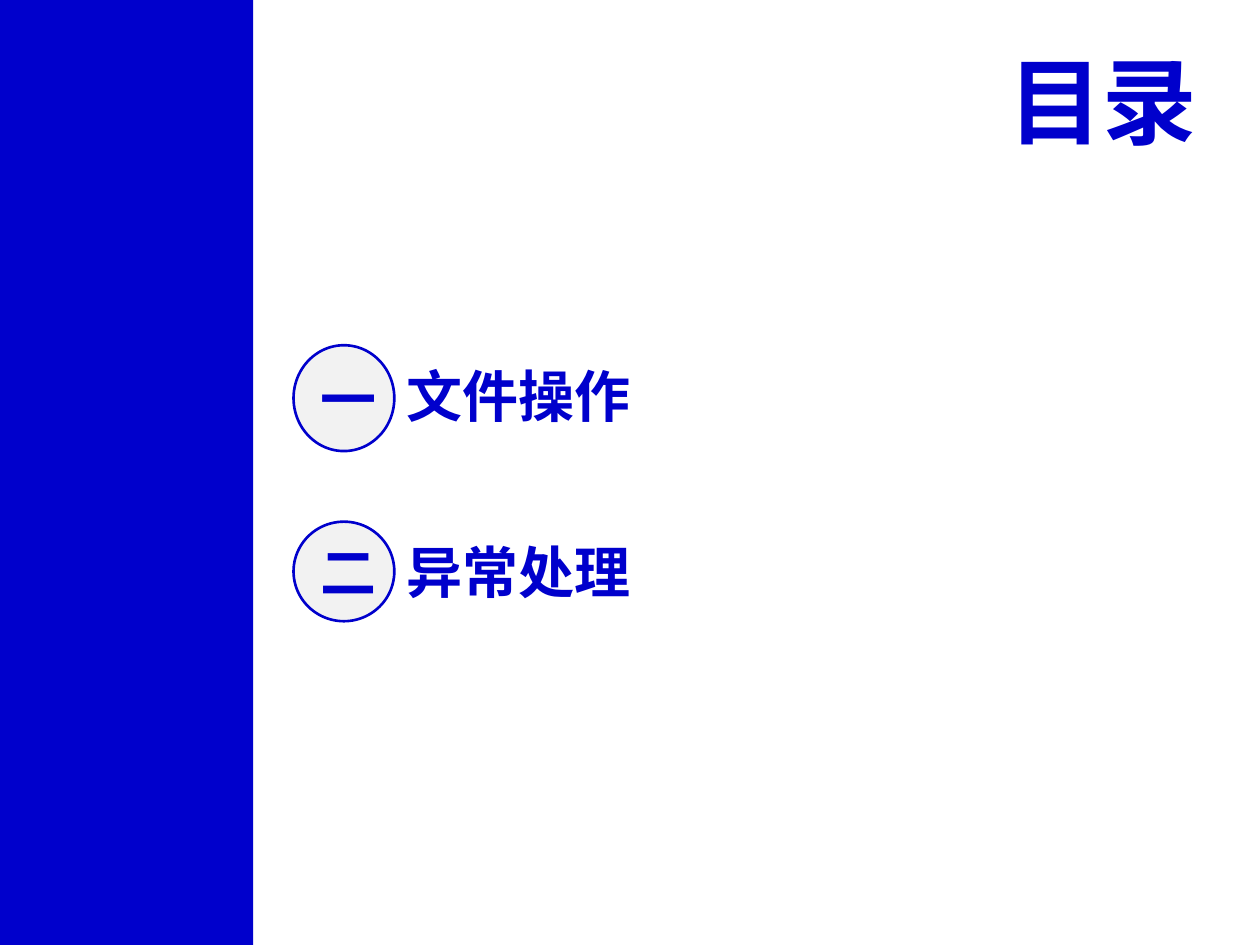
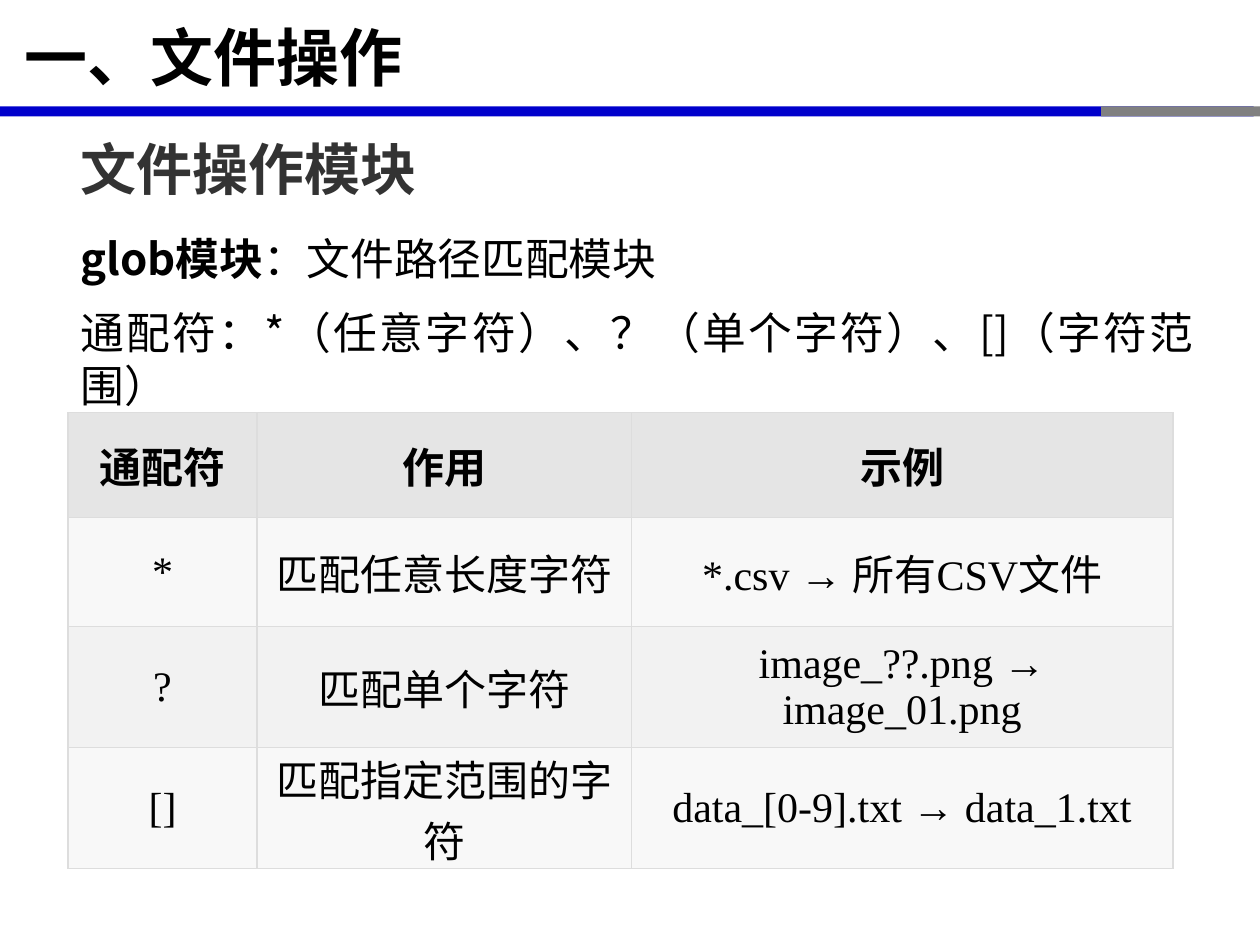
from collections import namedtuple
from lxml.etree import SubElement
from pptx import Presentation
from pptx.dml.color import RGBColor
from pptx.enum.shapes import MSO_SHAPE
from pptx.enum.text import MSO_ANCHOR, PP_ALIGN
from pptx.oxml.ns import qn
from pptx.util import Inches, Pt

COLS, ROWS = 100, 75
WIDE, HIGH = Inches(10), Inches(7.5)
COL, ROW = WIDE / COLS, HIGH / ROWS
SANS, SERIF, PLAIN = "Noto Sans CJK SC", "Times New Roman", "Arial"
HUES = {
    "blue": "0000CC", "gray": "808080", "disc": "F2F2F2", "black": "000000",
    "dark": "333333", "head": "E5E5E5", "odd": "F8F8F8", "even": "F2F2F2",
    "edge": "DDDDDD",
}


class Box(namedtuple("Box", "x y w h")):
    def inner(self, x, y, w, h):
        return Box(self.x + x, self.y + y, w, h)

    def place(self):
        return (round(self.x * COL), round(self.y * ROW),
                round(self.w * COL), round(self.h * ROW))


PAGE = Box(0, 0, COLS, ROWS)


def hue(name):
    return RGBColor.from_string(HUES[name])


def style(para, size, font, tint, bold=False, align=PP_ALIGN.LEFT, lead=False):
    para.alignment = align
    if lead:
        gap = SubElement(para._p.get_or_add_pPr(), qn("a:spcBef"))
        SubElement(gap, qn("a:spcPct")).set("val", "50000")
    for run in para.runs:
        run.font.size, run.font.name, run.font.bold = Pt(size), font, bold
        run.font.color.rgb = hue(tint)
        props = run._r.get_or_add_rPr()
        if props.find(qn("a:ea")) is None:
            SubElement(props, qn("a:ea")).set("typeface", SANS)


def shape(shapes, kind, box, fill, line=None):
    item = shapes.add_shape(kind, *box.place())
    item.shadow.inherit = False
    item.fill.solid()
    item.fill.fore_color.rgb = hue(fill)
    if line:
        item.line.color.rgb = hue(line)
        item.line.width = Pt(1.5)
    else:
        item.line.fill.background()
    return item


def label(shapes, box, lines, *look, anchor=MSO_ANCHOR.TOP, **more):
    frame = shapes.add_textbox(*box.place()).text_frame
    frame.word_wrap = True
    frame.vertical_anchor = anchor
    frame.text = "\n".join(lines)
    for para in frame.paragraphs:
        style(para, *look, **more)
    return frame


def entry(slide, box, mark, name):
    shapes = slide.shapes.add_group_shape().shapes
    disc = shape(shapes, MSO_SHAPE.OVAL, box.inner(0, 0, 8, box.h), "disc", "blue")
    disc.text_frame.vertical_anchor = MSO_ANCHOR.MIDDLE
    disc.text_frame.text = mark
    style(disc.text_frame.paragraphs[0], 32, SANS, "blue", True, PP_ALIGN.CENTER)
    label(shapes, box.inner(8, 0.75, box.w - 8, 6.4), [name], 32, PLAIN, "blue",
          True, anchor=MSO_ANCHOR.MIDDLE)


def agenda(slide, box, title, items):
    shape(slide.shapes, MSO_SHAPE.RECTANGLE, box.inner(0, 0, 20.1, box.h), "blue")
    label(slide.shapes, box.inner(78.4, 2.9, 17.6, 10.1), [title], 54, PLAIN,
          "blue", True, PP_ALIGN.RIGHT)
    for top, high, mark, name in items:
        entry(slide, box.inner(23.3, top, 72, high), mark, name)


def header(slide, box, title):
    frame = label(slide.shapes, box.inner(0, 0.1, 98.6, 8.7), [title], 36, SANS,
                  "black", True, anchor=MSO_ANCHOR.MIDDLE)
    frame.paragraphs[0]._p.get_or_add_pPr().set("indent", str(Inches(0.1)))
    for left, wide, tint in ((0, 99.5, "blue"), (87.4, 12.6, "gray")):
        shape(slide.shapes, MSO_SHAPE.RECTANGLE,
              box.inner(left, 8.45, wide, 0.8), tint)


def prose(slide, box, title, lines, term):
    look = {"align": PP_ALIGN.JUSTIFY, "lead": True}
    label(slide.shapes, box.inner(0, 0, 87.7, 6.4), [title], 32, SANS, "dark",
          True, **look)
    frame = label(slide.shapes, box.inner(0, 7.7, box.w, 11.5), lines, 25, SANS,
                  "black", **look)
    first = frame.paragraphs[0]
    rest = first.text[len(term):]
    first.text = term
    first.add_run().text = rest
    style(first, 25, SANS, "black", align=PP_ALIGN.JUSTIFY)
    first.runs[0].font.bold = True


def border(cell):
    props = cell._tc.get_or_add_tcPr()
    for spot, side in enumerate(("lnL", "lnR", "lnT", "lnB")):
        line = SubElement(props, qn("a:" + side), w=str(Pt(0.75)))
        fill = SubElement(line, qn("a:solidFill"))
        SubElement(fill, qn("a:srgbClr"), val=HUES["edge"])
        props.remove(line)
        props.insert(spot, line)


def grid(slide, box, cols, rows, data):
    table = slide.shapes.add_table(len(rows), len(cols), *box.place()).table
    table.first_row = table.horz_banding = False
    for col, wide in zip(table.columns, cols):
        col.width = round(wide * COL)
    for row, high in zip(table.rows, rows):
        row.height = round(high * ROW)
    for r, texts in enumerate(data):
        tint = "head" if r == 0 else "odd" if r % 2 else "even"
        for c, text in enumerate(texts):
            cell = table.cell(r, c)
            cell.margin_top = cell.margin_bottom = 0
            cell.vertical_anchor = MSO_ANCHOR.MIDDLE
            cell.fill.solid()
            cell.fill.fore_color.rgb = hue(tint)
            border(cell)
            cell.text_frame.text = text
            style(cell.text_frame.paragraphs[0], 24, SERIF, "black", r == 0,
                  PP_ALIGN.CENTER, True)


def main():
    deck = Presentation()
    deck.slide_width, deck.slide_height = WIDE, HIGH
    blank = deck.slide_layouts[6]

    agenda(deck.slides.add_slide(blank), PAGE, "目录", [
        (27.4, 8.4, "一", "文件操作"),
        (41.4, 7.9, "二", "异常处理"),
    ])

    slide = deck.slides.add_slide(blank)
    header(slide, PAGE, "一、文件操作")
    prose(slide, PAGE.inner(5.4, 10.2, 90.3, 20), "文件操作模块", [
        "glob模块：文件路径匹配模块",
        "通配符：*（任意字符）、？（单个字符）、[]（字符范围）",
    ], "glob模块")
    grid(slide, PAGE.inner(5.4, 32.75, 87.7, 36.2), (15, 29.7, 43),
         (8.3, 8.7, 9.6, 9.6), [
        ("通配符", "作用", "示例"),
        ("*", "匹配任意长度字符", "*.csv → 所有CSV文件"),
        ("?", "匹配单个字符", "image_??.png → image_01.png"),
        ("[]", "匹配指定范围的字符", "data_[0-9].txt → data_1.txt"),
    ])
    deck.save("out.pptx")


if __name__ == "__main__":
    main()
